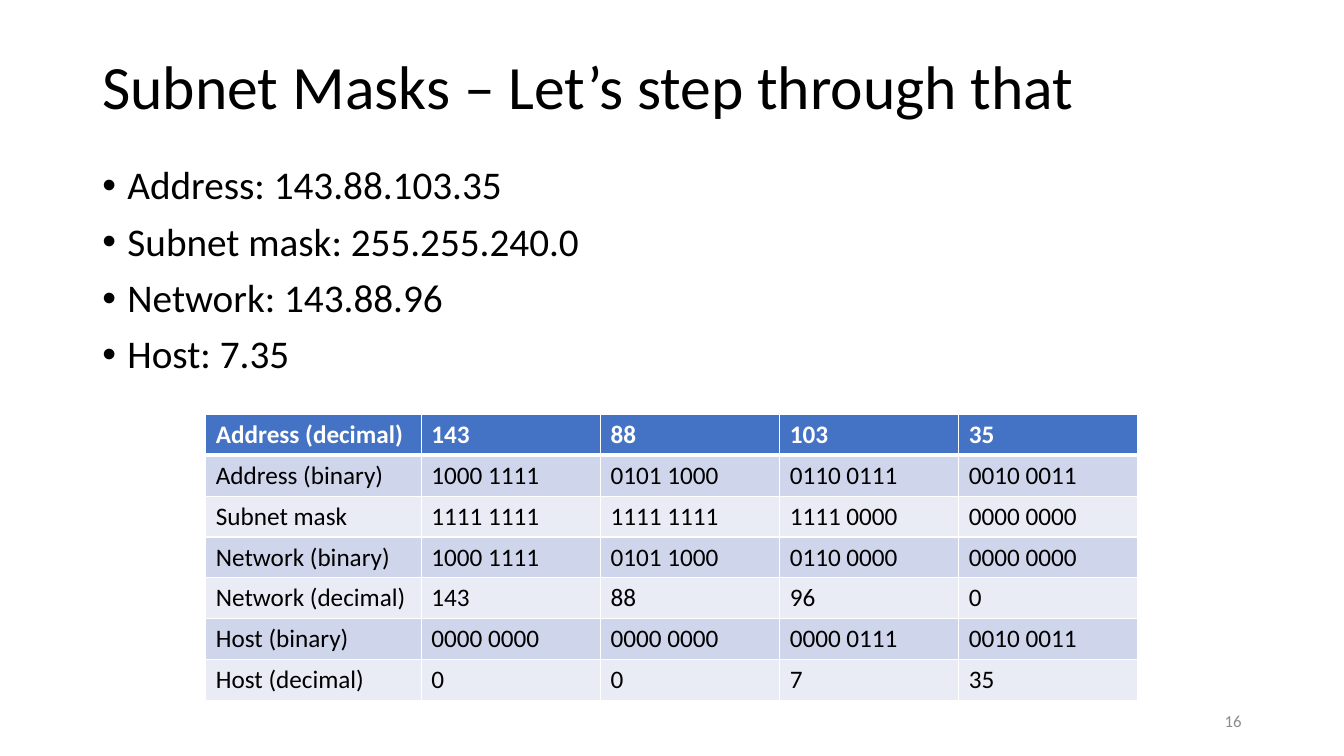
from dataclasses import dataclass

from lxml.etree import SubElement
from pptx import Presentation
from pptx.dml.color import RGBColor as RGB
from pptx.enum.text import MSO_ANCHOR as Anchor, PP_ALIGN as Align
from pptx.oxml.ns import qn
from pptx.util import Pt


@dataclass(frozen=True)
class Theme:
    font: str = "Calibri"
    ink: str = "000000"
    paper: str = "FFFFFF"
    muted: str = "8C8C8C"
    header: str = "4472C4"
    bands: tuple = ("CFD5EA", "E9EBF5")
    title: int = 44
    body: int = 28
    cell: int = 18
    number: int = 12


def write(p, text, *, font, size, color, bold=False, align=Align.LEFT,
          spacing=None, before=None, bullet=None, indent=18):
    if bullet:
        pPr = p._p.get_or_add_pPr()
        pPr.set("marL", str(Pt(indent)))
        pPr.set("indent", str(-Pt(indent)))
        SubElement(pPr, qn("a:buFont"), typeface="Arial")
        SubElement(pPr, qn("a:buChar"), char=bullet)
    p.alignment = align
    if spacing is not None:
        p.line_spacing = spacing
    if before is not None:
        p.space_before = Pt(before)
    r = p.add_run()
    r.text = text
    r.font.name = font
    r.font.size = Pt(size)
    r.font.bold = bold
    r.font.color.rgb = RGB.from_string(color)


class Deck:
    def __init__(self, theme, width, height):
        self.theme = theme
        self.prs = Presentation()
        self.prs.slide_width = Pt(width)
        self.prs.slide_height = Pt(height)
        self.s = None

    def slide(self):
        self.s = self.prs.slides.add_slide(self.prs.slide_layouts[6])

    def text(self, box, lines, size, color, anchor=Anchor.TOP, gap=0, **fmt):
        sp = self.s.shapes.add_textbox(*map(Pt, box))
        tf = sp.text_frame
        tf.word_wrap = True
        tf.vertical_anchor = anchor
        for i, line in enumerate(lines):
            p = tf.add_paragraph() if i else tf.paragraphs[0]
            write(p, line, font=self.theme.font, size=size, color=color,
                  before=gap if i else 0, **fmt)

    def border(self, cell, **widths):
        tcPr = cell._tc.get_or_add_tcPr()
        for side, width in widths.items():
            ln = SubElement(tcPr, qn(f"a:ln{side}"), w=str(Pt(width)))
            fill = SubElement(ln, qn("a:solidFill"))
            SubElement(fill, qn("a:srgbClr"), val=self.theme.paper)

    def table(self, left, top, widths, row_height, rows):
        t = self.theme
        frame = self.s.shapes.add_table(
            len(rows), len(widths), Pt(left), Pt(top),
            Pt(sum(widths)), Pt(row_height * len(rows)))
        table = frame.table
        for column, width in zip(table.columns, widths):
            column.width = Pt(width)
        for i, values in enumerate(rows):
            table.rows[i].height = Pt(row_height)
            head = i == 0
            fill = t.header if head else t.bands[(i - 1) % 2]
            for j, value in enumerate(values):
                cell = table.cell(i, j)
                self.border(cell, L=1, R=1, T=3 if i == 1 else 1,
                            B=3 if head else 1)
                cell.fill.solid()
                cell.fill.fore_color.rgb = RGB.from_string(fill)
                write(cell.text_frame.paragraphs[0], value, font=t.font,
                      size=t.cell, color=t.paper if head else t.ink, bold=head)

    def save(self):
        self.prs.save("out.pptx")


FACTS = [
    "Address: 143.88.103.35",
    "Subnet mask: 255.255.240.0",
    "Network: 143.88.96",
    "Host: 7.35",
]

STEPS = [
    ("Address (decimal)", "143", "88", "103", "35"),
    ("Address (binary)", "1000 1111", "0101 1000", "0110 0111", "0010 0011"),
    ("Subnet mask", "1111 1111", "1111 1111", "1111 0000", "0000 0000"),
    ("Network (binary)", "1000 1111", "0101 1000", "0110 0000", "0000 0000"),
    ("Network (decimal)", "143", "88", "96", "0"),
    ("Host (binary)", "0000 0000", "0000 0000", "0000 0111", "0010 0011"),
    ("Host (decimal)", "0", "0", "7", "35"),
]


def main():
    t = Theme()
    deck = Deck(t, 960, 540)
    deck.slide()
    deck.text((66, 28.75, 828, 70), ["Subnet Masks – Let’s step through that"],
              t.title, t.ink, anchor=Anchor.MIDDLE, spacing=0.9)
    deck.text((66, 115, 828, 414), FACTS, t.body, t.ink,
              gap=10, spacing=0.9, bullet="•")
    deck.text((678, 500.5, 216, 28.75), ["16"], t.number, t.muted,
              anchor=Anchor.MIDDLE, align=Align.RIGHT)
    deck.table(147, 296, [154] + [128] * 4, 29.2, STEPS)
    deck.save()


if __name__ == "__main__":
    main()
